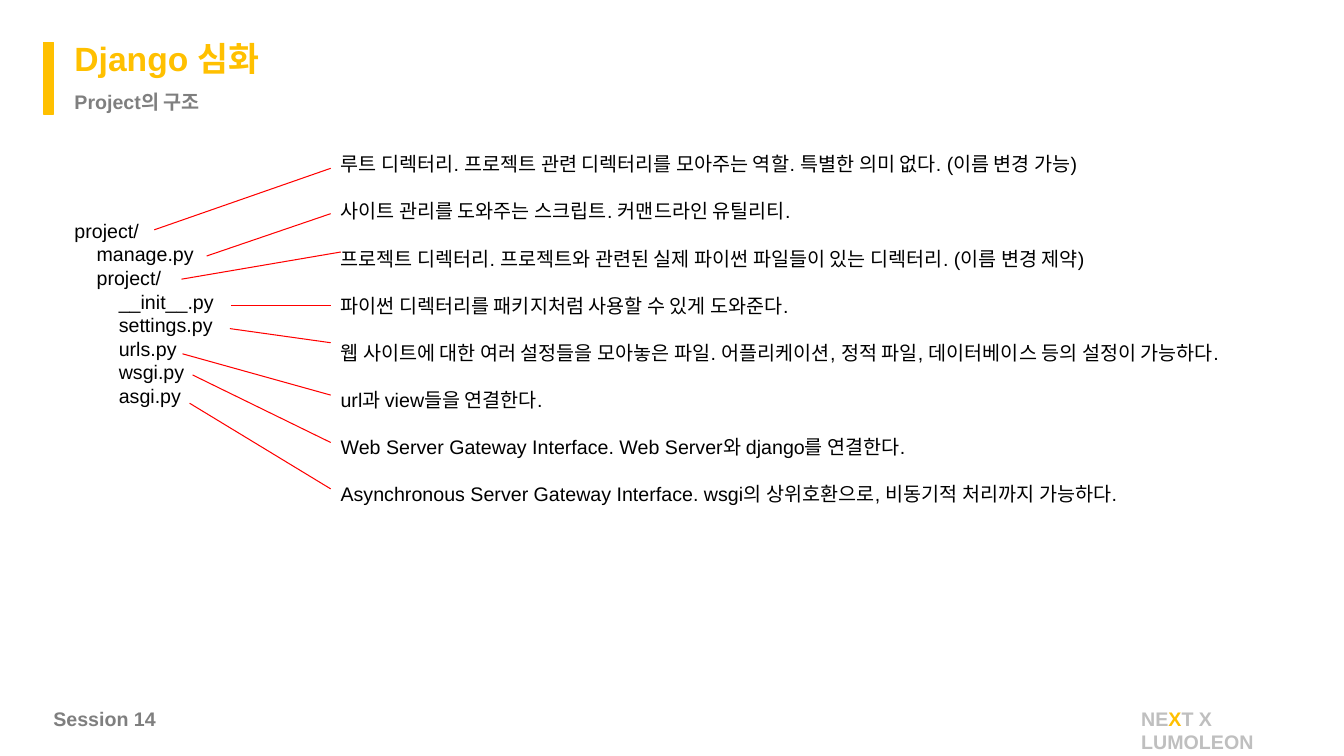
from lxml.etree import SubElement
from pptx import Presentation
from pptx.dml.color import RGBColor
from pptx.enum.shapes import MSO_CONNECTOR, MSO_SHAPE
from pptx.oxml.ns import qn
from pptx.util import Inches, Pt

THEME = {
    "font": "Arial", "title": 24, "body": 14, "pitch": 16.85,
    "gold": "FFC000", "gray": "7F7F7F", "pale": "BFBFBF",
    "ink": "000000", "red": "FF0000",
}

# depth, file name, meaning, line start, line end
FILES = [
    (0, "project/", "루트 디렉터리. 프로젝트 관련 디렉터리를 모아주는 역할. 특별한 의미 없다. (이름 변경 가능)",
     (1.53, 2.28), (3.28, 1.67)),
    (1, "manage.py", "사이트 관리를 도와주는 스크립트. 커맨드라인 유틸리티.",
     (2.05, 2.54), (3.28, 2.12)),
    (1, "project/", "프로젝트 디렉터리. 프로젝트와 관련된 실제 파이썬 파일들이 있는 디렉터리. (이름 변경 제약)",
     (1.8, 2.77), (3.38, 2.5)),
    (2, "__init__.py", "파이썬 디렉터리를 패키지처럼 사용할 수 있게 도와준다.",
     (2.29, 3.03), (3.28, 3.03)),
    (2, "settings.py", "웹 사이트에 대한 여러 설정들을 모아놓은 파일. 어플리케이션, 정적 파일, 데이터베이스 등의 설정이 가능하다.",
     (2.28, 3.26), (3.28, 3.4)),
    (2, "urls.py", "url과 view들을 연결한다.",
     (1.81, 3.51), (3.28, 3.92)),
    (2, "wsgi.py", "Web Server Gateway Interface. Web Server와 django를 연결한다.",
     (1.91, 3.72), (3.28, 4.39)),
    (2, "asgi.py", "Asynchronous Server Gateway Interface. wsgi의 상위호환으로, 비동기적 처리까지 가능하다.",
     (1.88, 4), (3.28, 4.85)),
]

# place, size, runs of text and colour
LABELS = [
    ((0.43, 6.96, 1.25, 0.34), "body", [("Session 14", "gray")]),
    ((11.22, 6.96, 2, 0.34), "body",
     [("NE", "pale"), ("X", "gold"), ("T X LUMOLEON", "pale")]),
    ((0.64, 0.33, 2.35, 0.5), "title", [("Django 심화", "gold")]),
    ((0.64, 0.84, 1.8, 0.34), "body", [("Project의 구조", "gray")]),
]

TREE = (0.64, 2.12, 2.53, 1.99)
NOTES = (3.28, 1.46, 10, 3.64)
BAR = (0.43, 0.42, 0.1, 0.71)
STEP = 0.22


def tint(name):
    return RGBColor.from_string(THEME[name])


def add_box(slide, place):
    frame = slide.shapes.add_textbox(*map(Inches, place)).text_frame
    frame.word_wrap = True
    return frame


def add_run(para, text, size, color, bold=False):
    run = para.add_run()
    run.text = text
    look = {"name": THEME["font"], "size": Pt(THEME[size]), "bold": bold}
    for key, value in look.items():
        setattr(run.font, key, value)
    run.font.color.rgb = tint(color)


def add_list(slide, place, rows, gap=0):
    """Write (depth, text) rows as indented paragraphs, gap points apart."""
    frame = add_box(slide, place)
    for i, (depth, text) in enumerate(rows):
        para = frame.add_paragraph() if i else frame.paragraphs[0]
        para.line_spacing = Pt(THEME["pitch"])
        if i and gap:
            para.space_before = Pt(gap)
        if depth:
            para._p.get_or_add_pPr().set("marL", str(Inches(depth * STEP)))
        add_run(para, text, "body", "ink")


def add_link(slide, start, end):
    link = slide.shapes.add_connector(
        MSO_CONNECTOR.STRAIGHT, *map(Inches, start + end))
    link.line.color.rgb = tint("red")
    link.line.width = Pt(0.75)
    SubElement(link._element.spPr, qn("a:effectLst"))


def add_bar(slide):
    bar = slide.shapes.add_shape(MSO_SHAPE.RECTANGLE, *map(Inches, BAR))
    bar.shadow.inherit = False
    bar.fill.solid()
    bar.fill.fore_color.rgb = tint("gold")
    bar.line.color.rgb = tint("gold")
    bar.line.width = Pt(1)


def main():
    deck = Presentation()
    deck.slide_width, deck.slide_height = Inches(13.33), Inches(7.5)
    slide = deck.slides.add_slide(deck.slide_layouts[6])
    add_list(slide, NOTES, [(0, row[2]) for row in FILES], THEME["pitch"])
    add_list(slide, TREE, [row[:2] for row in FILES])
    for *_, start, end in FILES:
        add_link(slide, start, end)
    add_bar(slide)
    for place, size, runs in LABELS:
        para = add_box(slide, place).paragraphs[0]
        for text, color in runs:
            add_run(para, text, size, color, bold=True)
    deck.save("out.pptx")


if __name__ == "__main__":
    main()
